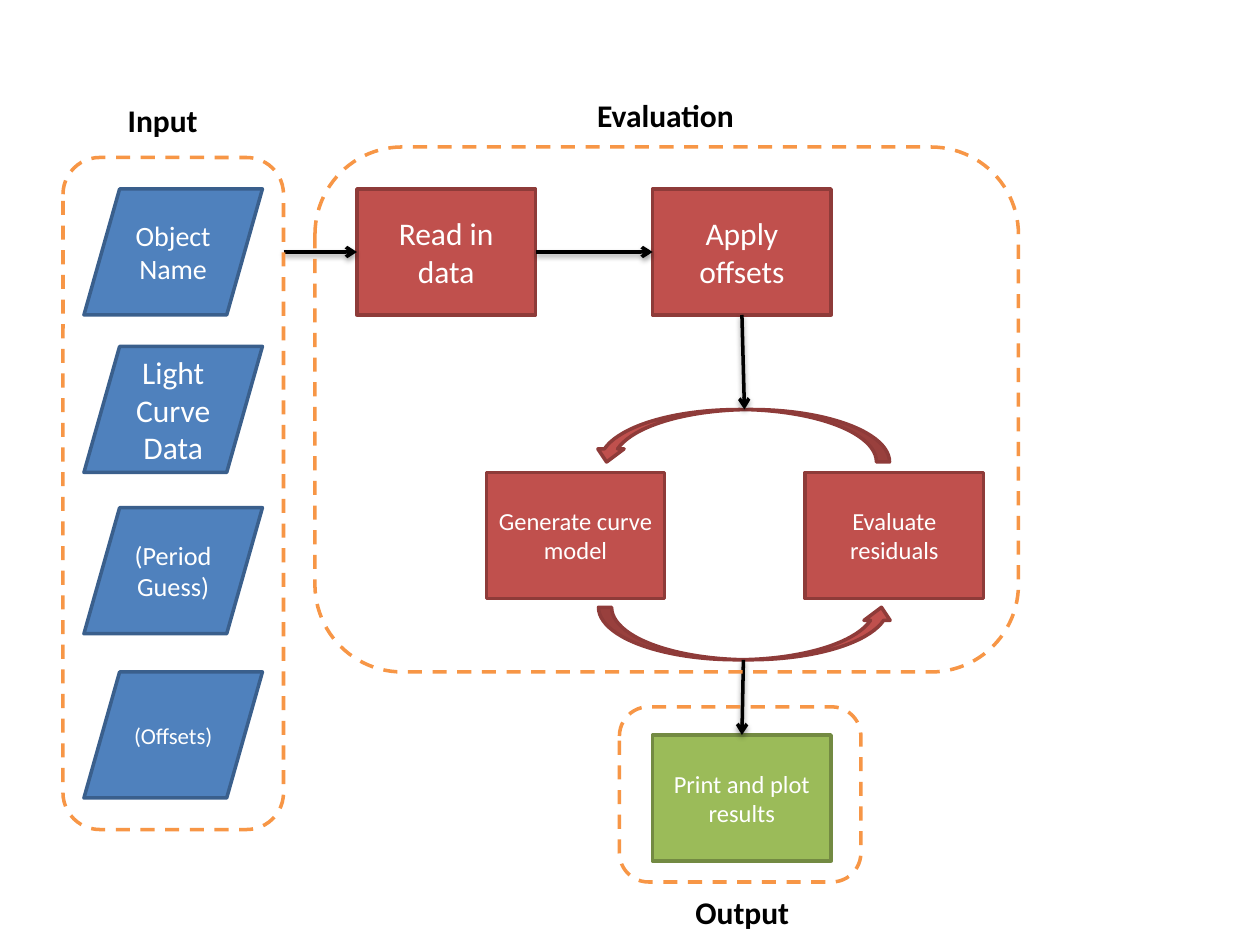
from lxml import etree
from pptx import Presentation
from pptx.dml.color import RGBColor
from pptx.enum.dml import MSO_LINE_DASH_STYLE as Dash
from pptx.enum.shapes import MSO_CONNECTOR_TYPE as Link, MSO_SHAPE as Shape
from pptx.enum.text import MSO_ANCHOR as Anchor, MSO_AUTO_SIZE as AutoSize, PP_ALIGN as Align
from pptx.oxml import parse_xml
from pptx.oxml.ns import qn
from pptx.util import Inches, Pt

COLUMNS, ROWS = 120, 90  # grid over the whole slide
BLUE, RED, GREEN = ("4F81BD", "3A5F8C"), ("C0504D", "8E3B39"), ("9BBB59", "738A42")
BOX_WIDTH, BOX_HEIGHT = 17, 12
SHADOW = (
    '<a:effectLst xmlns:a="http://schemas.openxmlformats.org/drawingml/2006/main">'
    '<a:outerShdw blurRad="40000" dist="20000" dir="5400000" rotWithShape="0">'
    '<a:srgbClr val="000000"><a:alpha val="38000"/></a:srgbClr>'
    '</a:outerShdw></a:effectLst>'
)


def color(value):
    return RGBColor.from_string(value)


def apply(target, values):
    for name, value in values.items():
        setattr(target, name, value)


class Flowchart:
    font = "Calibri"
    stroke = Pt(2)

    def __init__(self, deck):
        self.deck = deck
        self.page = deck.slides.add_slide(deck.slide_layouts[6])

    def place(self, left, top, width, height):
        across, down = self.deck.slide_width / COLUMNS, self.deck.slide_height / ROWS
        return [round(n * unit) for n, unit in zip((left, top, width, height), (across, down) * 2)]

    def label(self, box, text, size, ink, bold=False, **frame):
        apply(box.text_frame, {"word_wrap": True, **frame})
        para = box.text_frame.paragraphs[0]
        para.alignment = Align.CENTER
        span = para.add_run()
        span.text = text
        apply(span.font, {"name": self.font, "size": Pt(size), "bold": bold})
        span.font.color.rgb = color(ink)

    def line(self, target, ink):
        target.line.color.rgb = color(ink)
        target.line.width = self.stroke

    def shape(self, kind, area, colors, rotation=0):
        fill, edge = colors
        shape = self.page.shapes.add_shape(kind, *self.place(*area))
        shape.shadow.inherit = False
        shape.rotation = rotation
        if fill:
            shape.fill.solid()
            shape.fill.fore_color.rgb = color(fill)
        else:
            shape.fill.background()
        self.line(shape, edge)
        return shape

    def step(self, kind, left, top, colors, text, size):
        box = self.shape(kind, (left, top, BOX_WIDTH, BOX_HEIGHT), colors)
        self.label(box, text, size, "FFFFFF", vertical_anchor=Anchor.MIDDLE)

    def group(self, *area):
        self.shape(Shape.ROUNDED_RECTANGLE, area, (None, "F79646")).line.dash_style = Dash.DASH

    def arrow(self, *ends):
        arrow = self.page.shapes.add_connector(Link.STRAIGHT, *self.place(*ends))
        self.line(arrow, "000000")
        properties = arrow._element.spPr
        etree.SubElement(properties.find(qn("a:ln")), qn("a:tailEnd"), type="arrow")
        properties.append(parse_xml(SHADOW))

    def heading(self, left, top, text):
        box = self.page.shapes.add_textbox(*self.place(left, top, 19, 4.8))
        self.label(box, text, 18, "000000", True, auto_size=AutoSize.SHAPE_TO_FIT_TEXT)


deck = Presentation()
apply(deck, {"slide_width": Inches(10), "slide_height": Inches(7.5)})
chart = Flowchart(deck)

# Input column
for top, text, size in (
    (18, "Object Name", 16),
    (33, "Light Curve Data", 18),
    (48.36, "(Period Guess)", 15),
    (64, "(Offsets)", 13),
):
    chart.step(Shape.FLOWCHART_DATA, 8, top, BLUE, text, size)

# Evaluation and output steps
for left, top, colors, text, size in (
    (34, 18, RED, "Read in data", 18),
    (62.16, 18, RED, "Apply offsets", 18),
    (46.32, 45, RED, "Generate curve model", 14),
    (76.68, 45, RED, "Evaluate residuals", 14),
    (62.16, 70, GREEN, "Print and plot results", 14),
):
    chart.step(Shape.RECTANGLE, left, top, colors, text, size)

# Iteration loop
for left, top, rotation in ((57, 57.84, 0), (56.52, 39, 180)):
    chart.shape(Shape.CURVED_UP_ARROW, (left, top, 28.2, 5), RED, rotation)

# Flow arrows
for ends in (
    (27, 24, 34, 24),
    (51, 24, 62.16, 24),
    (70.66, 30, 70.9, 39),
    (70.8, 62.84, 70.66, 70),
):
    chart.arrow(*ends)

# Dashed groups with their headings
for area, left, top, text in (
    ((6, 15, 21, 64), 6, 9, "Input"),
    ((30, 14, 67, 50), 53.88, 8.52, "Evaluation"),
    ((59, 67.32, 23, 16.68), 61.2, 84.48, "Output"),
):
    chart.group(*area)
    chart.heading(left, top, text)

deck.save("out.pptx")
